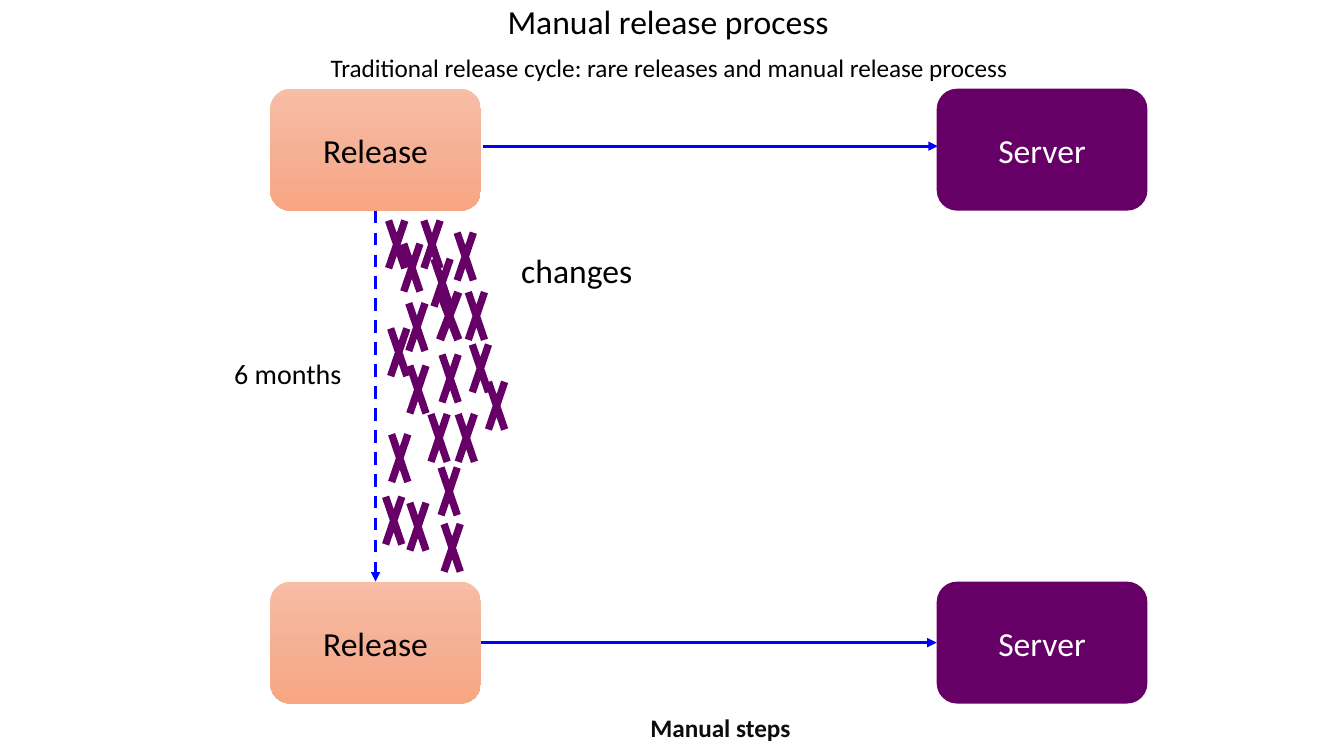
from copy import deepcopy

from lxml import etree
from pptx import Presentation
from pptx.dml.color import RGBColor
from pptx.enum.dml import MSO_LINE
from pptx.enum.shapes import MSO_CONNECTOR, MSO_SHAPE
from pptx.enum.text import MSO_ANCHOR, PP_ALIGN
from pptx.oxml.ns import qn
from pptx.util import Inches, Pt

CENTER = PP_ALIGN.CENTER
MIDDLE = MSO_ANCHOR.MIDDLE
ROUND = MSO_SHAPE.ROUNDED_RECTANGLE
CROSS = MSO_SHAPE.MATH_MULTIPLY
LINE = MSO_CONNECTOR.STRAIGHT
DASH = MSO_LINE.DASH

BLACK, WHITE, BLUE, PURPLE = "000000", "FFFFFF", "0000FF", "660066"
PEACH = ["F7BDA5", "F5B196", "F8A582"]


def color(code):
    return RGBColor.from_string(code)


def write(para, text, size, code=BLACK, bold=False):
    para.alignment = CENTER
    run = para.add_run()
    run.text = text
    run.font.name = "Calibri"
    run.font.size = Pt(size)
    run.font.bold = bold
    run.font.color.rgb = color(code)


deck = Presentation()
deck.slide_width = Inches(13.33)
deck.slide_height = Inches(7.5)
slide = deck.slides.add_slide(deck.slide_layouts[6])
shapes = slide.shapes

# Title and subtitle
head = shapes.add_textbox(0, 0, Inches(13.33), Inches(0.88)).text_frame
head.word_wrap = True
title = head.paragraphs[0]
write(title, "Manual release process ", 24)
sub = head.add_paragraph()
sub.space_before = Pt(10)
write(sub, "Traditional release cycle: rare releases and manual release process ", 18)
for para in (title, sub):
    para.line_spacing = 0.9

# Release and server boxes, one pair per row
boxes = {}
for row, top in enumerate([0.88, 5.77]):
    for name, left, ink in [("Release", 2.68, BLACK), ("Server", 9.29, WHITE)]:
        box = shapes.add_shape(ROUND, Inches(left), Inches(top), Inches(2.09), Inches(1.21))
        box.shadow.inherit = False
        box.line.fill.background()
        if name == "Release":
            box.fill.gradient()
            box.fill.gradient_angle = 270
            stops = box.fill.gradient_stops
            first = box.element.spPr.find(".//" + qn("a:gs"))
            first.addnext(deepcopy(first))
            for stop, code, place in zip(box.fill.gradient_stops, PEACH, [0, 0.5, 1]):
                stop.color.rgb = color(code)
                stop.position = place
        else:
            box.fill.solid()
            box.fill.fore_color.rgb = color(PURPLE)
        box.text_frame.vertical_anchor = MIDDLE
        write(box.text_frame.paragraphs[0], name, 24, ink)
        boxes[name, row] = box

# Arrows: the top one runs just above the middle of its boxes
upper = shapes.add_connector(LINE, Inches(4.79), Inches(1.45), Inches(9.3), Inches(1.45))
lower = shapes.add_connector(LINE, 0, 0, 0, 0)
lower.begin_connect(boxes["Release", 1], 3)
lower.end_connect(boxes["Server", 1], 1)
wait = shapes.add_connector(LINE, 0, 0, 0, 0)
wait.begin_connect(boxes["Release", 0], 2)
wait.end_connect(boxes["Release", 1], 0)
for arrow in (upper, lower, wait):
    arrow.line.color.rgb = color(BLUE)
    arrow.line.width = Pt(2.25)
    if arrow is wait:
        arrow.line.dash_style = DASH
    tip = etree.SubElement(arrow.line._get_or_add_ln(), qn("a:tailEnd"))
    tip.set("type", "triangle")
    etree.SubElement(arrow.element.spPr, qn("a:effectLst"))

# Changes piling up between releases
marks = [
    (3.93, 2.2), (4.23, 2.35), (3.99, 3.41), (4.46, 2.09), (4.31, 3.3),
    (4.77, 3.57), (4.47, 3.89), (3.81, 4.09), (4.33, 4.98), (4.3, 4.42),
    (3.99, 4.77), (4.28, 2.68), (4.57, 2.68), (4.13, 1.97), (3.8, 3.04),
    (4.61, 3.2), (3.75, 4.71), (3.78, 1.97), (4.2, 3.89), (3.98, 2.79),
]
for left, top in marks:
    wide = 0.35 if (left, top) == (4.28, 2.68) else 0.31
    mark = shapes.add_shape(CROSS, Inches(left), Inches(top), Inches(wide), Inches(0.91))
    mark.shadow.inherit = False
    mark.fill.solid()
    mark.fill.fore_color.rgb = color(PURPLE)
    mark.line.fill.background()

# Labels
labels = [
    ("changes", 4.6, 2.43, 2.24, 0.5, 24, BLACK, False),
    ("6 months", 2.18, 3.48, 1.35, 0.44, 20, BLACK, False),
    ("Manual steps", 6.02, 7.02, 2.25, 0.4, 18, "0D0D0D", True),
]
for text, left, top, wide, high, size, ink, bold in labels:
    area = shapes.add_textbox(Inches(left), Inches(top), Inches(wide), Inches(high))
    frame = area.text_frame
    frame.word_wrap = True
    frame.vertical_anchor = MIDDLE
    write(frame.paragraphs[0], text, size, ink, bold)

deck.save("out.pptx")
